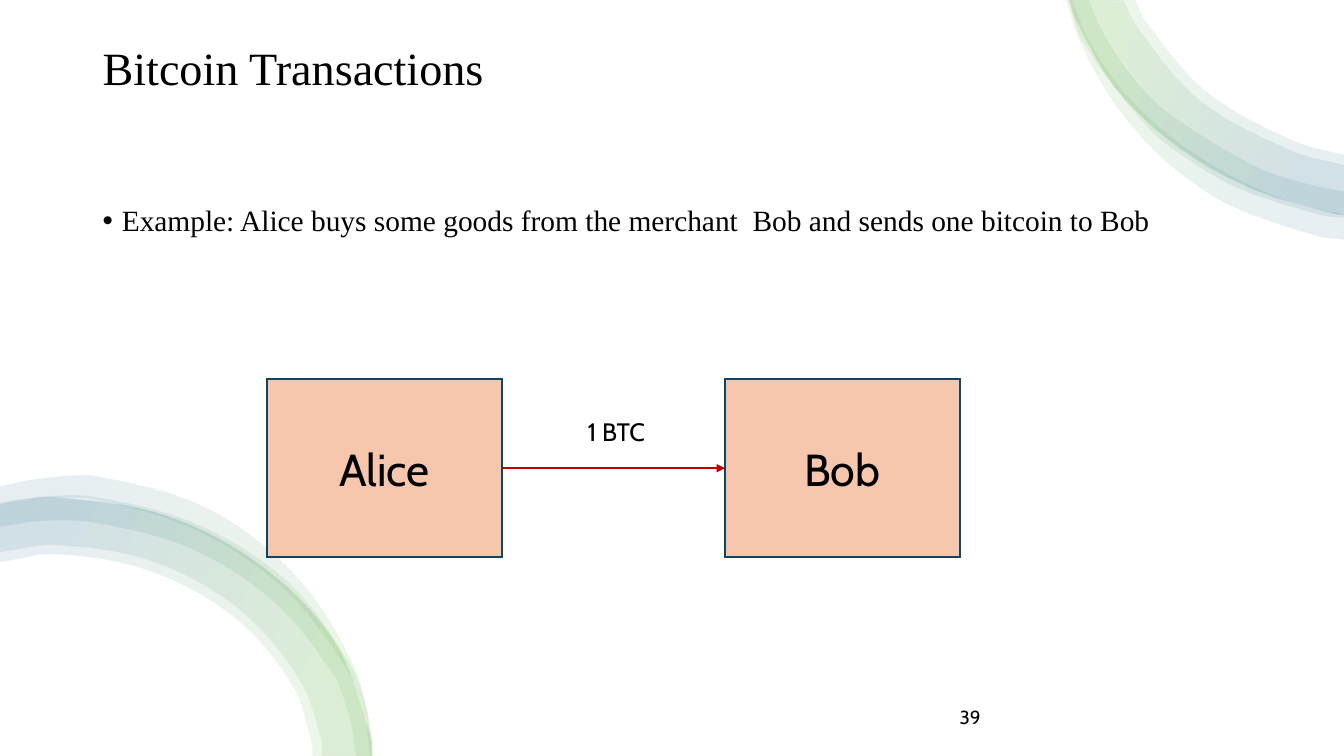
"""Build the slide on a payment of one bitcoin from Alice to Bob."""
import math

import lxml.etree
import pptx
import pptx.dml.color
import pptx.enum.shapes
import pptx.enum.text
import pptx.oxml
import pptx.oxml.ns
import pptx.util

WIDTH, HEIGHT = 13.33, 7.5
SERIF, SANS = "Times New Roman", "Cabin"
BLACK, PEACH, NAVY, RED = "000000", "F6C6AD", "104760", "C00000"

TITLE = "Bitcoin Transactions"
EXAMPLE = "Example: Alice buys some goods from the merchant  Bob and sends one bitcoin to Bob"
PARTIES = ["Alice", "Bob"]
AMOUNT = "1 BTC"
PAGE_NUMBER = "39"

MARGIN, TEXT_WIDTH = 0.92, 11.5
PARTY_LEFT, PARTY_TOP, PARTY_WIDTH, PARTY_HEIGHT, PARTY_STEP = 2.65, 3.76, 2.33, 1.77, 4.54

RIBBON_STOPS = [(0, "4EA72E"), (16, "4EA72E"), (85, "156082"), (100, "156082")]
RIBBON_OPACITY = 10
TOP_ARC = [(10.61, 0), (10.67, 0.19), (11.07, 0.88), (11.67, 1.45), (12.41, 1.87),
           (13.23, 2.12), (13.33, 2.13)]
BOTTOM_ARC = [(3.68, 7.5), (3.66, 7.29), (3.31, 6.37), (2.59, 5.62), (1.64, 5.12),
              (0.56, 4.94), (0.05, 4.99), (0, 5)]
RIBBONS = {
    20: [
        ([(10.58, 0.01), (10.71, 0.41), (10.97, 0.9), (11.31, 1.35), (11.73, 1.74),
          (12.22, 2.05), (13.05, 2.34), (13.33, 2.38)],
         [(13.33, 2.13), (12.85, 2.02), (12.35, 1.82), (11.88, 1.55), (11.45, 1.22),
          (11.08, 0.83), (10.79, 0.38), (10.64, 0.01)]),
        (TOP_ARC,
         [(13.33, 1.54), (12.83, 1.4), (11.96, 0.91), (11.36, 0.21), (11.26, 0)]),
        ([(10.6, 0.01), (10.75, 0.43), (11.4, 1.28), (11.83, 1.61), (12.31, 1.88),
          (13.1, 2.13), (13.33, 2.16)],
         [(13.33, 1.9), (12.91, 1.81), (12.43, 1.64), (11.57, 1.11), (11.22, 0.75),
          (10.95, 0.34), (10.8, 0.01)]),
        (TOP_ARC,
         [(13.33, 1.64), (12.79, 1.49), (11.89, 0.99), (11.27, 0.26), (11.15, 0.01)]),
    ],
    200: [
        (BOTTOM_ARC,
         [(0, 5.58), (0.56, 5.5), (1.49, 5.67), (2.32, 6.13), (2.89, 6.8),
          (3.08, 7.37), (3.09, 7.5)]),
        (BOTTOM_ARC,
         [(0, 5.48), (0.56, 5.41), (1.53, 5.58), (2.38, 6.06), (2.97, 6.76),
          (3.18, 7.36), (3.18, 7.5)]),
        ([(3.68, 7.5), (3.63, 7.06), (3.46, 6.59), (2.85, 5.78), (1.98, 5.22),
          (0.97, 4.94), (0.44, 4.93), (0, 4.99)],
         [(0, 5.23), (0.45, 5.17), (0.94, 5.19), (1.87, 5.44), (2.68, 5.95),
          (3.28, 6.67), (3.45, 7.1), (3.52, 7.5)]),
        ([(3.69, 7.5), (3.69, 7.36), (3.5, 6.61), (2.93, 5.72), (2.07, 5.06),
          (1, 4.74), (0.43, 4.75), (0, 4.83)],
         [(0, 5), (0.45, 4.95), (0.97, 4.97), (1.95, 5.27), (2.8, 5.84),
          (3.43, 6.64), (3.61, 7.11), (3.66, 7.5)]),
    ],
}


def inches(*lengths):
    return [pptx.util.Inches(length) for length in lengths]


def color(code):
    return pptx.dml.color.RGBColor.from_string(code)


def add_element(parent, tag, **attributes):
    return lxml.etree.SubElement(parent, pptx.oxml.ns.qn(tag), attributes)


def curves(anchors):
    """Return the two handles and the end of a smooth curve between neighbouring anchors."""
    padded = [anchors[0], *anchors, anchors[-1]]
    pieces = []
    for before, start, end, after in zip(padded, padded[1:], padded[2:], padded[3:]):
        reach = math.dist(start, end) / 3
        leave = reach / math.dist(before, end)
        arrive = reach / math.dist(start, after)
        pieces.append([
            [s + (e - b) * leave for s, e, b in zip(start, end, before)],
            [e - (a - s) * arrive for e, a, s in zip(end, after, start)],
            end])
    return pieces


def bend(ribbon, outer, inner):
    lines = ribbon._element.findall(".//" + pptx.oxml.ns.qn("a:lnTo"))
    edges = lines[:len(outer) - 1] + lines[len(outer):]
    for line, piece in zip(edges, curves(outer) + curves(inner)):
        curve = lxml.etree.Element(pptx.oxml.ns.qn("a:cubicBezTo"))
        for x, y in piece:
            left, top = inches(x, y)
            add_element(curve, "a:pt", x=str(left - ribbon.left), y=str(top - ribbon.top))
        line.getparent().replace(line, curve)


def add_ribbon(page, outer, inner, angle):
    outline = [inches(*point) for point in outer + inner]
    builder = page.shapes.build_freeform(*outline[0])
    builder.add_line_segments(outline[1:], close=True)
    ribbon = builder.convert_to_shape()
    bend(ribbon, outer, inner)
    ribbon.shadow.inherit = False
    ribbon.line.fill.background()
    ribbon.fill.background()
    blank_fill = ribbon._element.spPr.find(pptx.oxml.ns.qn("a:noFill"))
    gradient = pptx.oxml.parse_xml(
        f'<a:gradFill {pptx.oxml.ns.nsdecls("a")} rotWithShape="1"><a:gsLst/></a:gradFill>')
    for position, code in RIBBON_STOPS:
        stop = add_element(gradient[0], "a:gs", pos=str(position * 1000))
        tint = add_element(stop, "a:srgbClr", val=code)
        add_element(tint, "a:alpha", val=str(RIBBON_OPACITY * 1000))
    add_element(gradient, "a:lin", ang=str(angle * 60000), scaled="0")
    ribbon._element.spPr.replace(blank_fill, gradient)


def write(box, text, size, font):
    box.text_frame.word_wrap = True
    para = box.text_frame.paragraphs[0]
    para.text = text
    para.font.size = pptx.util.Pt(size)
    para.font.name = font
    para.font.color.rgb = color(BLACK)
    return para


def add_text(page, text, place, size, font):
    return write(page.shapes.add_textbox(*inches(*place)), text, size, font)


def add_party(page, name, left):
    box = page.shapes.add_shape(
        pptx.enum.shapes.MSO_SHAPE.RECTANGLE,
        *inches(left, PARTY_TOP, PARTY_WIDTH, PARTY_HEIGHT))
    box.shadow.inherit = False
    box.fill.solid()
    box.fill.fore_color.rgb = color(PEACH)
    box.line.color.rgb = color(NAVY)
    box.line.width = pptx.util.Pt(1.5)
    add_element(box.line._get_or_add_ln(), "a:miter", lim="800000")
    box.text_frame.vertical_anchor = pptx.enum.text.MSO_ANCHOR.MIDDLE
    write(box, name, 32, SANS).alignment = pptx.enum.text.PP_ALIGN.CENTER
    return box


def add_payment(page, payer, payee):
    arrow = page.shapes.add_connector(pptx.enum.shapes.MSO_CONNECTOR.STRAIGHT, 0, 0, 0, 0)
    arrow.begin_connect(payer, 3)
    arrow.end_connect(payee, 1)
    arrow.line.color.rgb = color(RED)
    arrow.line.width = pptx.util.Pt(1.5)
    add_element(arrow.line._get_or_add_ln(), "a:tailEnd", type="triangle")
    add_element(arrow._element.spPr, "a:effectLst")


def main():
    deck = pptx.Presentation()
    deck.slide_width, deck.slide_height = inches(WIDTH, HEIGHT)
    page = deck.slides.add_slide(deck.slide_layouts[6])

    for angle, bands in RIBBONS.items():
        for outer, inner in bands:
            add_ribbon(page, outer, inner, angle)

    title = add_text(page, TITLE, (MARGIN, 0.4, TEXT_WIDTH, 1.45), 33, SERIF)
    title.line_spacing = 0.9

    example = add_text(page, EXAMPLE, (MARGIN, 2, TEXT_WIDTH, 4.76), 21, SERIF)
    example.line_spacing = 0.9
    bullet = example._p.get_or_add_pPr()
    indent = pptx.util.Inches(0.19)
    bullet.set("marL", str(indent))
    bullet.set("indent", str(-indent))
    defaults = bullet.find(pptx.oxml.ns.qn("a:defRPr"))
    for tag, setting in [("buFont", 'typeface="Arial"'), ("buChar", 'char="•"')]:
        defaults.addprevious(pptx.oxml.parse_xml(
            f'<a:{tag} {pptx.oxml.ns.nsdecls("a")} {setting}/>'))

    add_text(page, PAGE_NUMBER, (9.42, 6.95, 2.25, 0.4), 13.5, SANS)
    payer, payee = [add_party(page, name, PARTY_LEFT + order * PARTY_STEP)
                    for order, name in enumerate(PARTIES)]
    add_payment(page, payer, payee)
    add_text(page, AMOUNT, (5.73, 4.08, 1.13, 0.4), 18, SANS)
    deck.save("out.pptx")


if __name__ == "__main__":
    main()
